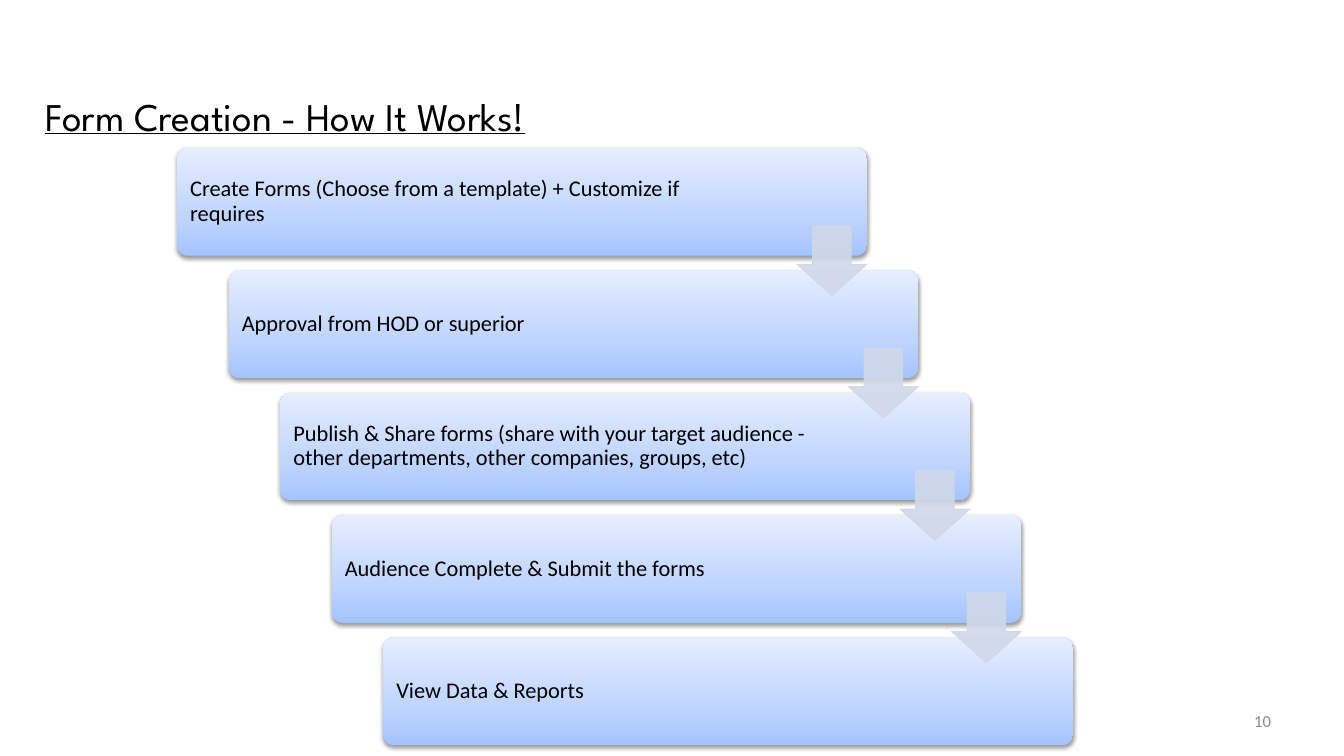
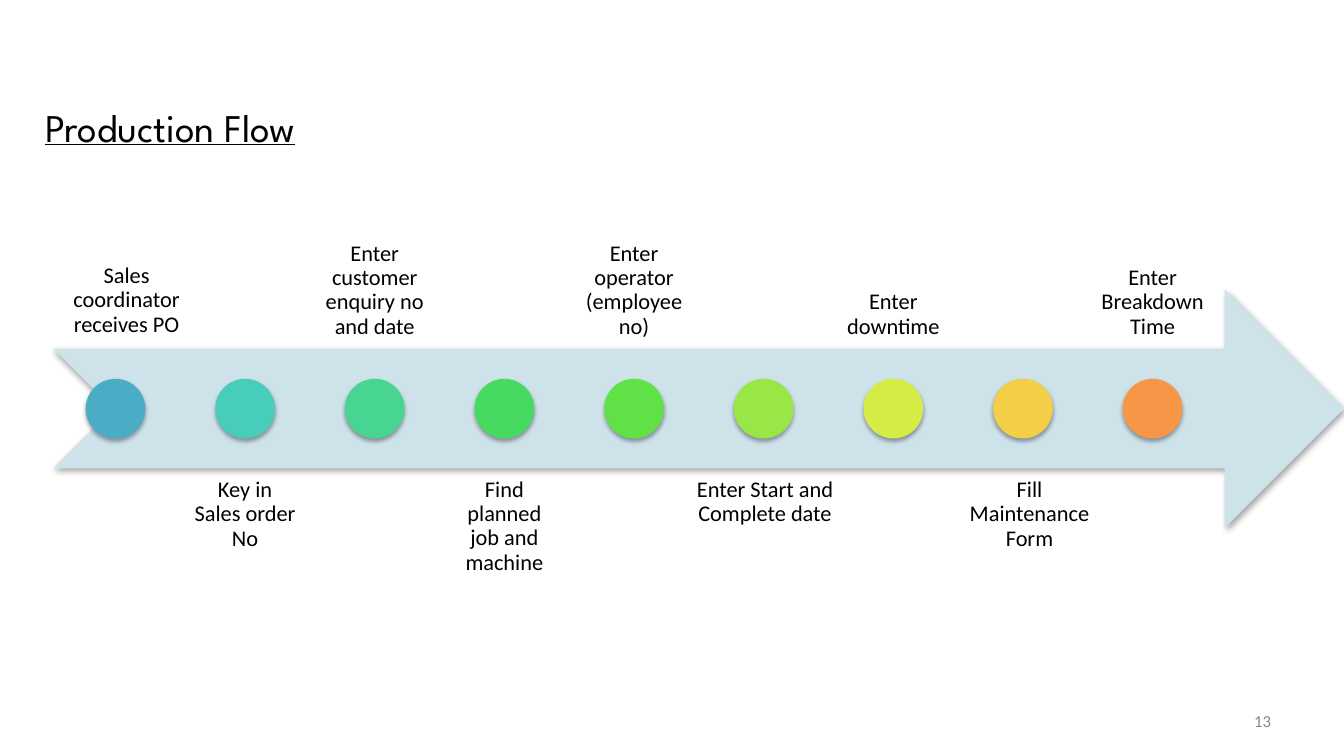
from typing import NamedTuple

from lxml.etree import SubElement
from pptx import Presentation
from pptx.dml.color import RGBColor
from pptx.enum.shapes import MSO_SHAPE as SHAPE
from pptx.enum.text import MSO_ANCHOR as ANCHOR, PP_ALIGN as ALIGN
from pptx.oxml.ns import qn
from pptx.util import Pt


class Stage(NamedTuple):
    text: str
    color: str
    lines: int
    width: float = 88.6
    shift: float = 0
    inset: float = 7.2


STEPS = [
    "Create Forms (Choose from a template) + Customize if requires",
    "Approval from HOD or superior",
    "Publish & Share forms (share with your target audience - "
    "other departments, other companies, groups, etc)",
    "Audience Complete & Submit the forms",
    "View Data & Reports",
]
STAGES = [
    Stage("Sales coordinator receives PO", "4BACC6", 3, 126, 7.9, 8.6),
    Stage("Key in Sales order No", "49CDBB", 3),
    Stage("Enter customer enquiry no and date", "48D491", 4),
    Stage("Find planned job and machine", "47DA61", 4),
    Stage("Enter operator (employee no)", "60E146", 4),
    Stage("Enter Start and Complete date", "98E746", 2, 115.2, 1),
    Stage("Enter downtime", "D5EC46", 2),
    Stage("Fill Maintenance Form", "F2CF46", 3, 105.1, 4.7),
    Stage("Enter Breakdown Time", "F79646", 3),
]


def rgb(value):
    return RGBColor.from_string(value)


class Deck:
    """Holds the shared style and the slide being built."""

    BODY, HEADING = "Calibri", "League Spartan"
    INK, MUTED = "000000", "888888"
    STEP_STOPS = [(0, "A4C4FF"), (35, "BFD4FF"), (100, "E6EEFF")]
    LINK, BAND = "D0D8E8", "CEE2EA"

    def __init__(self):
        self.prs = Presentation()
        self.prs.slide_width, self.prs.slide_height = Pt(960), Pt(540)
        self.s = None

    def slide(self, title, number, top):
        self.s = self.prs.slides.add_slide(self.prs.slide_layouts[6])
        self.text(891.4, 505.4, 20.2, 19.4, number, size=12, color=self.MUTED,
                  align=ALIGN.RIGHT)
        self.text(28.8, top, 755.3, 41, title, size=28, font=self.HEADING,
                  underline=True)

    def put_text(self, sp, text, size=16, font=BODY, color=INK, align=ALIGN.LEFT,
                 anchor=ANCHOR.MIDDLE, insets=(3.6,) * 4, spacing=None, underline=None):
        tf = sp.text_frame
        tf.word_wrap = True
        tf.vertical_anchor = anchor
        tf.margin_left, tf.margin_top, tf.margin_right, tf.margin_bottom = map(Pt, insets)
        p = tf.paragraphs[0]
        p.alignment, p.line_spacing = align, spacing
        r = p.add_run()
        r.text = text
        r.font.name, r.font.size, r.font.underline = font, Pt(size), underline
        r.font.color.rgb = rgb(color)

    def text(self, x, y, w, h, text, **style):
        sp = self.s.shapes.add_textbox(Pt(x), Pt(y), Pt(w), Pt(h))
        self.put_text(sp, text, **style)

    def shape(self, kind, x, y, w, h, fill=None, shadow=None):
        sp = self.s.shapes.add_shape(kind, Pt(x), Pt(y), Pt(w), Pt(h))
        sp.line.fill.background()
        if fill:
            sp.fill.solid()
            sp.fill.fore_color.rgb = rgb(fill)
        sp.shadow.inherit = False
        if shadow:
            blur, distance, alpha = shadow
            effects = sp._element.spPr.find(qn("a:effectLst"))
            outer = SubElement(effects, qn("a:outerShdw"), blurRad=str(Pt(blur)),
                               dist=str(Pt(distance)), dir="5400000", rotWithShape="0")
            clr = SubElement(outer, qn("a:srgbClr"), val="000000")
            SubElement(clr, qn("a:alpha"), val=str(alpha * 1000))
        return sp

    def step(self, x, y, w, h, text):
        sp = self.shape(SHAPE.ROUNDED_RECTANGLE, x, y, w, h, shadow=(3.1, 1.6, 38))
        sp.adjustments[0] = 0.1
        sp.fill.gradient()
        sp.fill.gradient_angle = 90
        stops = sp._element.spPr.find(".//" + qn("a:gsLst"))
        for stop in list(stops):
            stops.remove(stop)
        for pos, color in self.STEP_STOPS:
            stop = SubElement(stops, qn("a:gs"), pos=str(pos * 1000))
            SubElement(stop, qn("a:srgbClr"), val=color)
        self.put_text(sp, text, insets=(7.2, 7.2, 94, 7.2), spacing=0.9)

    def link(self, x, y, size):
        sp = self.shape(SHAPE.DOWN_ARROW, x, y, size, size, self.LINK)
        sp.adjustments[0], sp.adjustments[1] = 0.55, 0.45
        sp.line.color.rgb = rgb(self.LINK)
        sp.line.width = Pt(0.75)
        for clr in sp._element.spPr.iter(qn("a:srgbClr")):
            SubElement(clr, qn("a:alpha"), val="90000")

    def band(self, x, y, w, h):
        self.shape(SHAPE.NOTCHED_RIGHT_ARROW, x, y, w, h, self.BAND, (3, 1.8, 35))

    def stage(self, center, middle, stage, above):
        size, reach = 42.6, 42.6
        h = 2 * stage.inset + 18 * stage.lines
        top = middle - reach - h if above else middle + reach
        self.text(center + stage.shift - stage.width / 2, top, stage.width, h, stage.text,
                  align=ALIGN.CENTER, anchor=ANCHOR.BOTTOM if above else ANCHOR.TOP,
                  insets=(stage.inset,) * 4, spacing=0.9)
        self.shape(SHAPE.OVAL, center - size / 2, middle - size / 2, size, size,
                   stage.color, (3, 1.8, 35))


def form_creation(deck):
    deck.slide("Form Creation - How It Works!", "10", 61.9)
    w, h, arrow = 492.6, 77, 49.9
    places = [(126.6 + 36.8 * i, 105.7 + 87.4 * i) for i in range(len(STEPS))]
    for (x, y), text in zip(places, STEPS):
        deck.step(x, y, w, h, text)
    for x, y in places[:-1]:
        deck.link(x + w - arrow, y + 55.7, arrow)


def production_flow(deck):
    deck.slide("Production Flow", "13", 69.8)
    middle, h = 291.9, 170.6
    deck.band(38.2, middle - h / 2, 921.8, h)
    for i, stage in enumerate(STAGES):
        deck.stage(82.5 + 92.6 * i, middle, stage, above=i % 2 == 0)


def main():
    deck = Deck()
    form_creation(deck)
    production_flow(deck)
    deck.prs.save("out.pptx")


if __name__ == "__main__":
    main()
